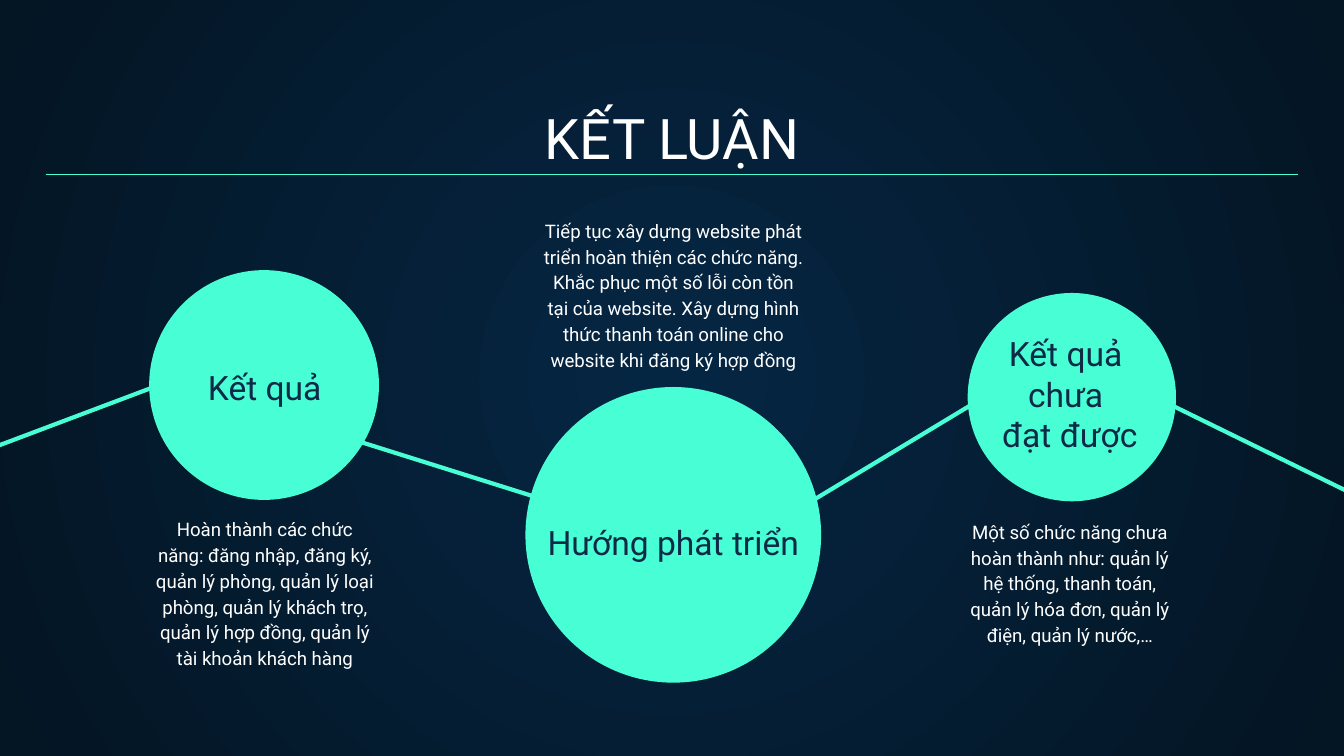
import pptx
import pptx.util
import pptx.dml.color
import pptx.enum.shapes
import pptx.enum.text
import pptx.oxml.ns
import lxml.etree

Inches = pptx.util.Inches
COLORS = {
    "center": "052643",
    "edge": "041523",
    "mint": "48FFD5",
    "navy": "0E2A47",
    "white": "FFFFFF",
}
FONT = "Roboto"
STATIONS = [
    {
        "box": (1.11, 2.01, 1.71),
        "text_middle": 1.97,
        "label": ["Kết quả"],
        "label_drop": 0.62,
        "body": "Hoàn thành các chức năng: đăng nhập, đăng ký, quản lý phòng, quản lý loại phòng, "
                "quản lý khách trọ, quản lý hợp đồng, quản lý tài khoản khách hàng",
        "body_drop": 1.72,
        "body_width": 1.86,
    },
    {
        "box": (3.91, 2.88, 2.2),
        "text_middle": 5.01,
        "label": ["Hướng phát triển"],
        "label_drop": 0.9,
        "body": "Tiếp tục xây dựng website phát triển hoàn thiện các chức năng. Khắc phục một số lỗi "
                "còn tồn tại của website. Xây dựng hình thức thanh toán online cho website khi đăng ký hợp đồng",
        "body_drop": -1.37,
        "body_width": 2.15,
    },
    {
        "box": (7.2, 2.18, 1.55),
        "text_middle": 7.96,
        "label": ["Kết quả ", "chưa ", "đạt được"],
        "label_drop": 0.2,
        "body": "Một số chức năng chưa hoàn thành như: quản lý hệ thống, thanh toán, quản lý hóa đơn, "
                "quản lý điện, quản lý nước,…",
        "body_drop": 1.57,
        "body_width": 1.7,
    },
]
LINKS = [
    ((-0.66, 3.56), (1.41, 2.78)),
    ((2.56, 3.25), (4.31, 3.8)),
    ((5.49, 4.06), (7.43, 2.89)),
    ((8.38, 2.85), (10.32, 3.8)),
]


def rgb(name):
    return pptx.dml.color.RGBColor.from_string(COLORS[name])


def paint_background(slide):
    fill = slide.background.fill
    fill.gradient()
    for stop, name in zip(fill.gradient_stops, ("center", "edge")):
        stop.color.rgb = rgb(name)
    qn = pptx.oxml.ns.qn
    gradient = slide.element.find(".//" + qn("a:gradFill"))
    gradient.remove(gradient.find(qn("a:lin")))
    circle = lxml.etree.SubElement(gradient, qn("a:path"), {"path": "circle"})
    sides = {side: "50000" for side in "ltrb"}
    lxml.etree.SubElement(circle, qn("a:fillToRect"), sides)


def add_text(slide, box, lines, size, color, anchor="TOP", line_spacing=None):
    shape = slide.shapes.add_textbox(*map(Inches, box))
    frame = shape.text_frame
    frame.word_wrap = True
    frame.vertical_anchor = getattr(pptx.enum.text.MSO_ANCHOR, anchor)
    for side in ("left", "top", "right", "bottom"):
        setattr(frame, "margin_" + side, Inches(0.1))
    para = frame.paragraphs[0]
    para.alignment = pptx.enum.text.PP_ALIGN.CENTER
    if line_spacing:
        para.line_spacing = line_spacing
    for index, line in enumerate(lines):
        if index:
            para.add_line_break()
        span = para.add_run()
        span.text = line
        span.font.name = FONT
        span.font.size = pptx.util.Pt(size)
        span.font.color.rgb = rgb(color)


def add_line(slide, start, end, width):
    line = slide.shapes.add_connector(
        pptx.enum.shapes.MSO_CONNECTOR.STRAIGHT, *map(Inches, start + end))
    line.line.color.rgb = rgb("mint")
    line.line.width = pptx.util.Pt(width)
    properties = line.element.find(pptx.oxml.ns.qn("p:spPr"))
    lxml.etree.SubElement(properties, pptx.oxml.ns.qn("a:effectLst"))


def add_header(slide, box):
    left, top, width, height = box
    add_text(slide, box, ["KẾT LUẬN"], 30, "white", "BOTTOM")
    rule = top + height - 0.07
    add_line(slide, (left, rule), (left + width, rule), 0.75)


def add_station(slide, box, station):
    left, top, size = box
    circle = slide.shapes.add_shape(
        pptx.enum.shapes.MSO_SHAPE.OVAL, *map(Inches, (left, top, size, size)))
    circle.shadow.inherit = False
    circle.fill.solid()
    circle.fill.fore_color.rgb = rgb("mint")
    circle.line.fill.background()

    middle = station["text_middle"]
    label_width = 2.27
    label_box = (middle - label_width / 2, top + station["label_drop"], label_width, 0.21)
    add_text(slide, label_box, station["label"], 18, "navy")

    body_width = station["body_width"]
    body_box = (middle - body_width / 2, top + station["body_drop"], body_width, 0.55)
    add_text(slide, body_box, [station["body"]], 10, "white", line_spacing=1.15)


def main():
    deck = pptx.Presentation()
    deck.slide_width = Inches(10)
    deck.slide_height = deck.slide_width * 9 // 16
    slide = deck.slides.add_slide(deck.slide_layouts[6])
    paint_background(slide)
    add_header(slide, (0.34, 0.71, 9.32, 0.66))
    for start, end in LINKS:
        add_line(slide, start, end, 2.25)
    for station in STATIONS:
        add_station(slide, station["box"], station)
    deck.save("out.pptx")


if __name__ == "__main__":
    main()
